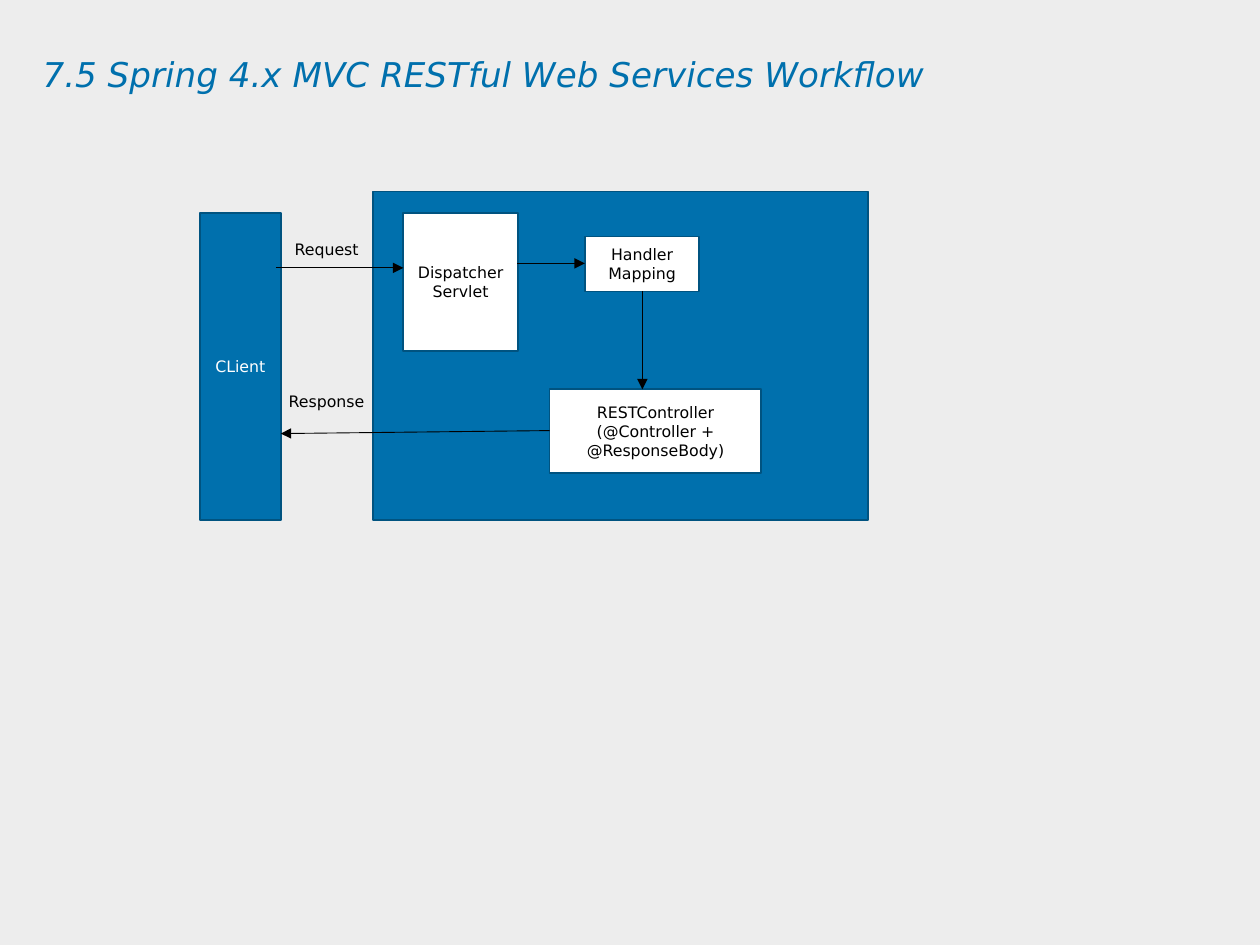
from lxml import etree
from pptx import Presentation
from pptx.dml.color import RGBColor
from pptx.enum.shapes import MSO_CONNECTOR, MSO_SHAPE
from pptx.enum.text import MSO_ANCHOR, MSO_AUTO_SIZE, PP_ALIGN
from pptx.oxml.ns import qn
from pptx.util import Cm, Pt

RECTANGLE = MSO_SHAPE.RECTANGLE
STRAIGHT = MSO_CONNECTOR.STRAIGHT
MIDDLE = MSO_ANCHOR.MIDDLE
CENTER = PP_ALIGN.CENTER
GROW = MSO_AUTO_SIZE.SHAPE_TO_FIT_TEXT

BLUE, DARK_BLUE, GRAY = "0070AD", "005380", "EDEDED"
WHITE, BLACK = "FFFFFF", "000000"


def rgb(value):
    return RGBColor.from_string(value)


def write(frame, lines, size, color, align=None):
    frame.text = "\n".join(lines)
    for paragraph in frame.paragraphs:
        paragraph.alignment = align
        paragraph.font.name = "DejaVu Sans"
        paragraph.font.size = Pt(size)
        paragraph.font.color.rgb = rgb(color)


presentation = Presentation()
presentation.slide_width = Cm(25.4)
presentation.slide_height = Cm(19.05)
slide = presentation.slides.add_slide(presentation.slide_layouts[6])
slide.background.fill.solid()
slide.background.fill.fore_color.rgb = rgb(GRAY)

# Title
title = slide.shapes.add_textbox(Cm(0.86), Cm(1.17), Cm(23.09), Cm(2.39))
frame = title.text_frame
frame.word_wrap = True
frame.margin_left = frame.margin_top = frame.margin_right = frame.margin_bottom = 0
write(frame, ["7.5 Spring 4.x MVC RESTful Web Services Workflow"], 19.5, BLUE)
frame.paragraphs[0].font.italic = True
frame.paragraphs[0].line_spacing = 0.9

# Server area, its components and the client: left, top, width, height
boxes = [
    ([], 7.52, 3.86, 9.98, 6.63, BLUE, WHITE),
    (["Dispatcher Servlet"], 8.13, 4.29, 2.31, 2.79, WHITE, BLACK),
    (["Handler Mapping"], 11.79, 4.77, 2.31, 1.11, WHITE, BLACK),
    (["RESTController", "(@Controller + @ResponseBody)"],
     11.08, 7.85, 4.27, 1.68, WHITE, BLACK),
    (["CLient"], 4.03, 4.29, 1.63, 6.2, BLUE, WHITE),
]
for lines, left, top, width, height, fill, color in boxes:
    shape = slide.shapes.add_shape(RECTANGLE, Cm(left), Cm(top), Cm(width), Cm(height))
    shape.shadow.inherit = False
    shape.fill.solid()
    shape.fill.fore_color.rgb = rgb(fill)
    shape.line.color.rgb = rgb(DARK_BLUE)
    shape.line.width = Pt(1)
    shape.text_frame.vertical_anchor = MIDDLE
    write(shape.text_frame, lines, 9, color, CENTER)

# Arrows: start x, start y, end x, end y
arrows = [
    (5.56, 5.4, 8.13, 5.4),
    (10.43, 5.31, 11.79, 5.31),
    (12.95, 5.87, 12.95, 7.85),
    (11.08, 8.68, 5.66, 8.74),
]
for start_x, start_y, end_x, end_y in arrows:
    arrow = slide.shapes.add_connector(
        STRAIGHT, Cm(start_x), Cm(start_y), Cm(end_x), Cm(end_y))
    arrow.line.color.rgb = rgb(BLACK)
    arrow.line.width = Pt(0.5)
    properties = arrow.element.spPr
    etree.SubElement(properties.find(qn("a:ln")), qn("a:tailEnd"), type="triangle")
    etree.SubElement(properties, qn("a:effectLst"))

# Arrow labels
for text, left, top, width in [("Request", 5.69, 4.7, 1.83), ("Response", 5.57, 7.77, 2.05)]:
    label = slide.shapes.add_textbox(Cm(left), Cm(top), Cm(width), Cm(0.64))
    label.text_frame.word_wrap = False
    label.text_frame.auto_size = GROW
    write(label.text_frame, [text], 9, BLACK)

presentation.save("out.pptx")
